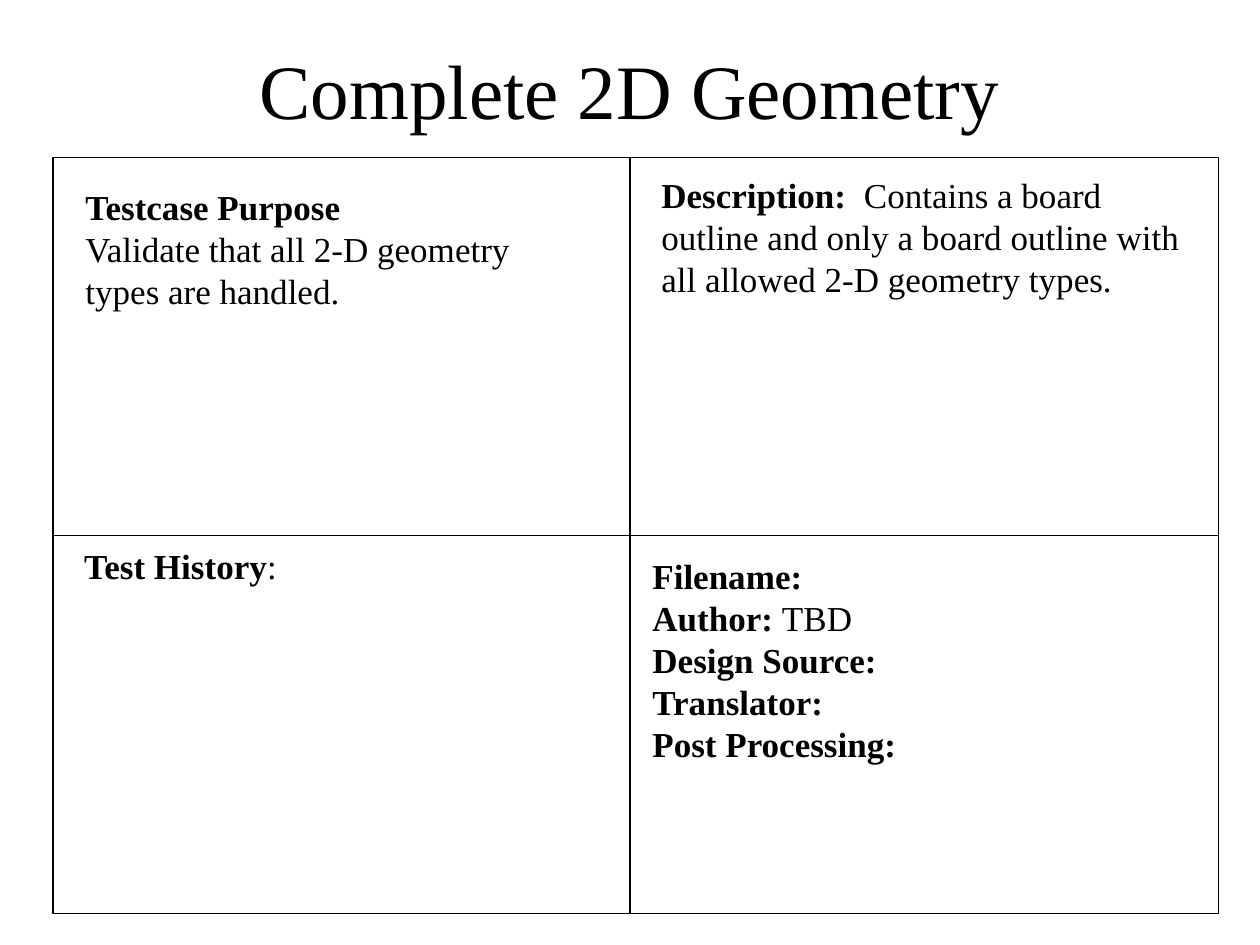
"""Build the Complete 2D Geometry test case slide as a titled four-panel grid."""
import pptx
import pptx.dml.color
import pptx.enum.shapes
import pptx.enum.text
import pptx.oxml
import pptx.util

Inches = pptx.util.Inches
Pt = pptx.util.Pt
Fit = pptx.enum.text.MSO_AUTO_SIZE
Anchor = pptx.enum.text.MSO_ANCHOR
Align = pptx.enum.text.PP_ALIGN

theme = {
    "ink": pptx.dml.color.RGBColor(0, 0, 0),
    "font": "Times New Roman",
    "title": Pt(44),
    "body": Pt(20),
    "line": Pt(0.75),
}


def add_text(slide, box, lines, size, frame_style, align):
    frame = slide.shapes.add_textbox(*map(Inches, box)).text_frame
    for key, value in frame_style.items():
        setattr(frame, key, value)
    for index, runs in enumerate(lines):
        para = frame.paragraphs[0] if index == 0 else frame.add_paragraph()
        para.alignment = align
        for text, bold in runs:
            run = para.add_run()
            run.text = text.rstrip("\n")
            for key, value in {"name": theme["font"], "size": size, "bold": bold}.items():
                setattr(run.font, key, value)
            run.font.color.rgb = theme["ink"]
            if text.endswith("\n"):
                para.add_line_break()


deck = pptx.Presentation()
deck.slide_width, deck.slide_height = Inches(10), Inches(7.5)
slide = deck.slides.add_slide(deck.slide_layouts[6])

left, top, width, height = 0.42, 1.25, 9.25, 6
right, bottom = left + width, top + height
mid_x, mid_y = 5, top + height / 2

grid = slide.shapes.add_shape(
    pptx.enum.shapes.MSO_SHAPE.RECTANGLE, *map(Inches, (left, top, width, height))
)
grid.shadow.inherit = False
grid.fill.background()
rules = [grid]
for ends in ((mid_x, top, mid_x, bottom), (left, mid_y, right, mid_y)):
    rule = slide.shapes.add_connector(
        pptx.enum.shapes.MSO_CONNECTOR.STRAIGHT, *map(Inches, ends)
    )
    props = rule.element.spPr
    rules.append(rule)
for rule in rules:
    rule.line.color.rgb = theme["ink"]
    rule.line.width = theme["line"]
for rule in rules[1:]:
    rule.element.spPr.append(pptx.oxml.parse_xml(
        '<a:effectLst xmlns:a="http://schemas.openxmlformats.org/drawingml/2006/main"/>'
    ))

add_text(
    slide, (0.75, 0.08, 8.5, 1.25), [[("Complete 2D Geometry", False)]], theme["title"],
    {"word_wrap": True, "vertical_anchor": Anchor.MIDDLE}, Align.CENTER,
)

panels = [
    ((0.58, 1.42, 3.92, 1.1), True, [[
        ("Testcase Purpose\n", True),
        ("Validate that all 2-D geometry types are handled.", False),
    ]]),
    ((5.15, 1.33, 4.35, 1.1), True, [[
        ("Description:", True),
        ("  Contains a board outline and only a board outline with "
         "all allowed 2-D geometry types.", False),
    ]]),
    ((0.57, 4.27, 1.75, 0.44), False, [[("Test History", True), (":", False)]]),
    ((5.08, 4.35, 2.14, 2.57), False, [
        [("Filename:", True)],
        [("Author: ", True), ("TBD", False)],
        [("Design Source:", True)],
        [("Translator:", True)],
        [("Post Processing:", True)],
    ]),
]
for box, wrap, lines in panels:
    add_text(
        slide, box, lines, theme["body"],
        {"word_wrap": wrap, "auto_size": Fit.SHAPE_TO_FIT_TEXT}, Align.LEFT,
    )

deck.save("out.pptx")
